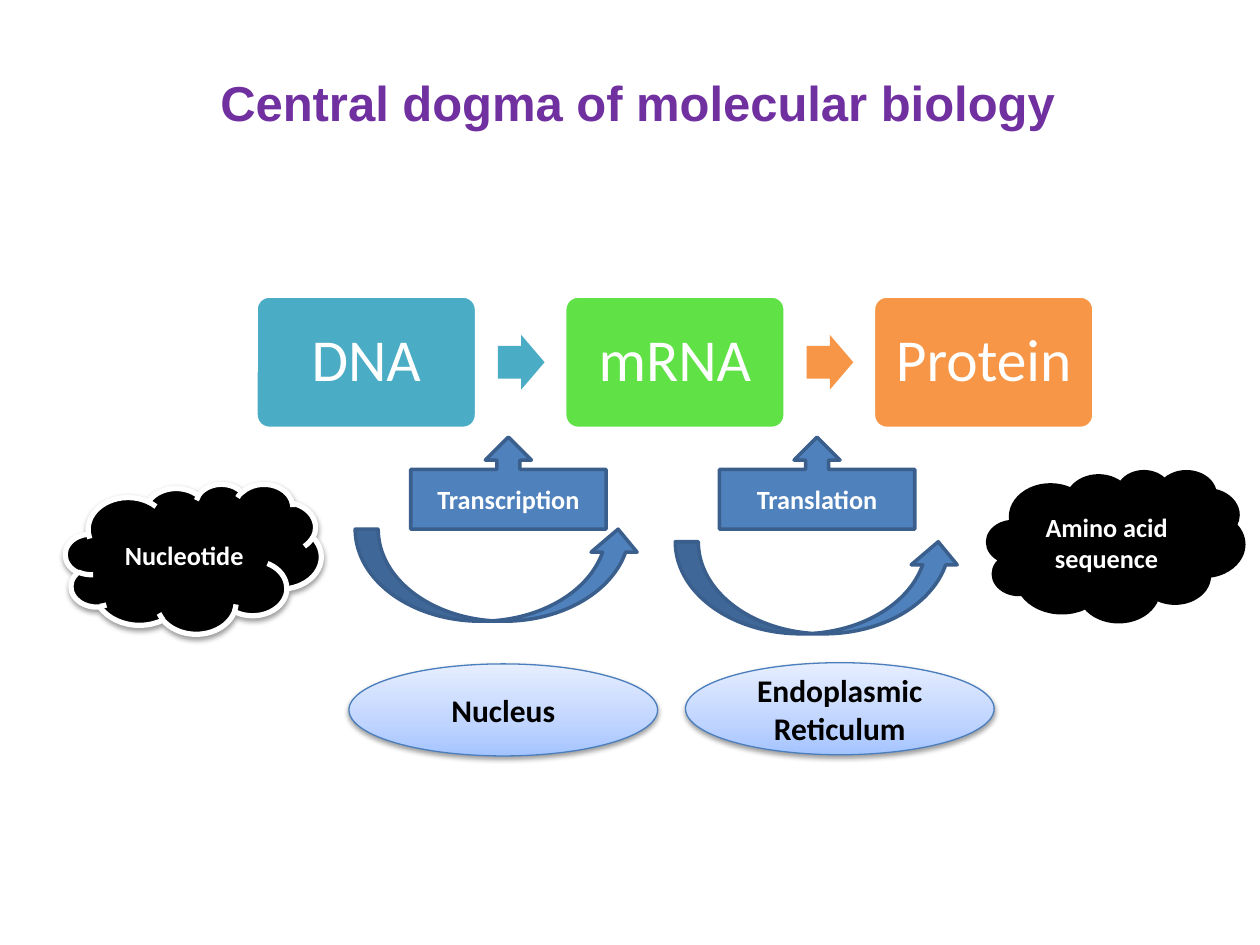
import pptx
import pptx.util
import pptx.dml.color
import pptx.enum.shapes
import pptx.enum.text
import pptx.oxml
import pptx.oxml.ns

Pt = pptx.util.Pt
RGB = pptx.dml.color.RGBColor
MSO = pptx.enum.shapes.MSO_SHAPE
ALIGN = pptx.enum.text.PP_ALIGN
ANCHOR = pptx.enum.text.MSO_ANCHOR
qn = pptx.oxml.ns.qn

WHITE = RGB(0xFF, 0xFF, 0xFF)
BLACK = RGB(0, 0, 0)
PURPLE = RGB(0x70, 0x30, 0xA0)
TEAL = RGB(0x4B, 0xAC, 0xC6)
GREEN = RGB(0x60, 0xE1, 0x46)
ORANGE = RGB(0xF7, 0x96, 0x46)
BLUE = RGB(0x4F, 0x81, 0xBD)
DARK_BLUE = RGB(0x3A, 0x5F, 0x8C)
RIM_BLUE = RGB(0x4B, 0x7E, 0xBC)
GLOSS = [(0, RGB(0xA4, 0xC4, 0xFF)), (35, RGB(0xBF, 0xD4, 0xFF)),
         (100, RGB(0xE6, 0xEE, 0xFF))]

PITCH = 176.4  # distance between neighbouring stages


def add_text(sp, text, size, color, font="Calibri", bold=True, align=ALIGN.CENTER):
    tf = sp.text_frame
    tf.word_wrap = True
    tf.vertical_anchor = ANCHOR.MIDDLE
    p = tf.paragraphs[0]
    p.alignment = align
    r = p.add_run()
    r.text = text
    r.font.name, r.font.size, r.font.bold = font, Pt(size), bold
    r.font.color.rgb = color
    return tf


def add_shape(slide, kind, box, fill, line=None, width=2):
    sp = slide.shapes.add_shape(kind, *(Pt(v) for v in box))
    sp.shadow.inherit = False
    sp.fill.solid()
    sp.fill.fore_color.rgb = fill
    if line is None:
        sp.line.fill.background()
    else:
        sp.line.color.rgb = line
        sp.line.width = Pt(width)
    return sp


def add_shadow(sp):
    effects = sp._element.spPr.find(qn("a:effectLst"))
    effects.append(pptx.oxml.parse_xml(
        f'<a:outerShdw {pptx.oxml.ns.nsdecls("a")} blurRad="{Pt(3.1)}" dist="{Pt(1.6)}" '
        'dir="5400000" rotWithShape="0"><a:srgbClr val="000000">'
        '<a:alpha val="38000"/></a:srgbClr></a:outerShdw>'))


def add_gradient(sp, stops):
    sp.fill.gradient()
    sp.fill.gradient_angle = 90
    gs_list = sp._element.spPr.find(".//" + qn("a:gsLst"))
    for gs in list(gs_list):
        gs_list.remove(gs)
    for pos, color in stops:
        gs_list.append(pptx.oxml.parse_xml(
            f'<a:gs {pptx.oxml.ns.nsdecls("a")} pos="{pos * 1000}">'
            f'<a:srgbClr val="{color}"/></a:gs>'))


def title(slide, x, y, w, h):
    sp = slide.shapes.add_textbox(Pt(x), Pt(y), Pt(w), Pt(h))
    add_text(sp, "Central dogma of molecular biology", 28, PURPLE, "Arial",
             align=ALIGN.LEFT)


def flow(slide, x, y, w, h):
    """Three stages with a block arrow before each stage after the first."""
    box_w, arrow_w, arrow_h = w - 2 * PITCH, 26.7, 31.2
    stages = [("DNA", TEAL, None), ("mRNA", GREEN, TEAL), ("Protein", ORANGE, ORANGE)]
    for i, (name, color, arrow_color) in enumerate(stages):
        left = x + i * PITCH
        if arrow_color is not None:
            arrow = add_shape(slide, MSO.RIGHT_ARROW,
                              (left - 38.2, y + (h - arrow_h) / 2, arrow_w, arrow_h),
                              arrow_color)
            arrow.adjustments[0] = 0.6
        sp = add_shape(slide, MSO.ROUNDED_RECTANGLE, (left, y, box_w, h), color, WHITE)
        sp.adjustments[0] = 0.1
        tf = add_text(sp, name, 34, WHITE, bold=False)
        tf.margin_left = tf.margin_right = Pt(10)
        tf.paragraphs[0].line_spacing = 0.9


def process(slide, name, x, y, w, h):
    sp = add_shape(slide, MSO.UP_ARROW_CALLOUT, (x, y, w, h), BLUE, DARK_BLUE)
    add_text(sp, name, 15, WHITE)


def location(slide, name, x, y, w, h):
    sp = add_shape(slide, MSO.OVAL, (x, y, w, h), BLUE, RIM_BLUE, 0.75)
    add_gradient(sp, GLOSS)
    add_shadow(sp)
    add_text(sp, name, 18, BLACK)


def cloud(slide, name, line, width, x, y, w, h):
    sp = add_shape(slide, MSO.CLOUD, (x, y, w, h), BLACK, line, width)
    add_text(sp, name, 15, WHITE)
    return sp


def main():
    prs = pptx.Presentation()
    prs.slide_width, prs.slide_height = Pt(720), Pt(540)
    slide = prs.slides.add_slide(prs.slide_layouts[6])

    title(slide, 118.8, 37.4, 494.6, 41.2)
    flow(slide, 146.3, 169.2, 478.8, 75.6)

    # Processes between the stages
    for i, name in enumerate(["Transcription", "Translation"]):
        process(slide, name, 234.7 + i * PITCH, 249.8, 111.6, 52.6)

    # Curved arrows below the processes
    for x, y in [(203, 302.4), (385.9, 309.6)]:
        add_shape(slide, MSO.CURVED_UP_ARROW, (x, y, 163.4, 52.6), BLUE, DARK_BLUE)

    # Where each process happens
    location(slide, "Endoplasmic Reticulum", 391.7, 378.7, PITCH, 52.6)
    location(slide, "Nucleus", 199.4, 379.4, PITCH, 52.6)

    # Building blocks at either end
    add_shadow(cloud(slide, "Nucleotide", WHITE, 3, 37.4, 276.5, 146.2, 85.7))
    cloud(slide, "Amino acid sequence", BLACK, 2, 564.5, 269.3, 146.2, 85.7)

    prs.save("out.pptx")


if __name__ == "__main__":
    main()
